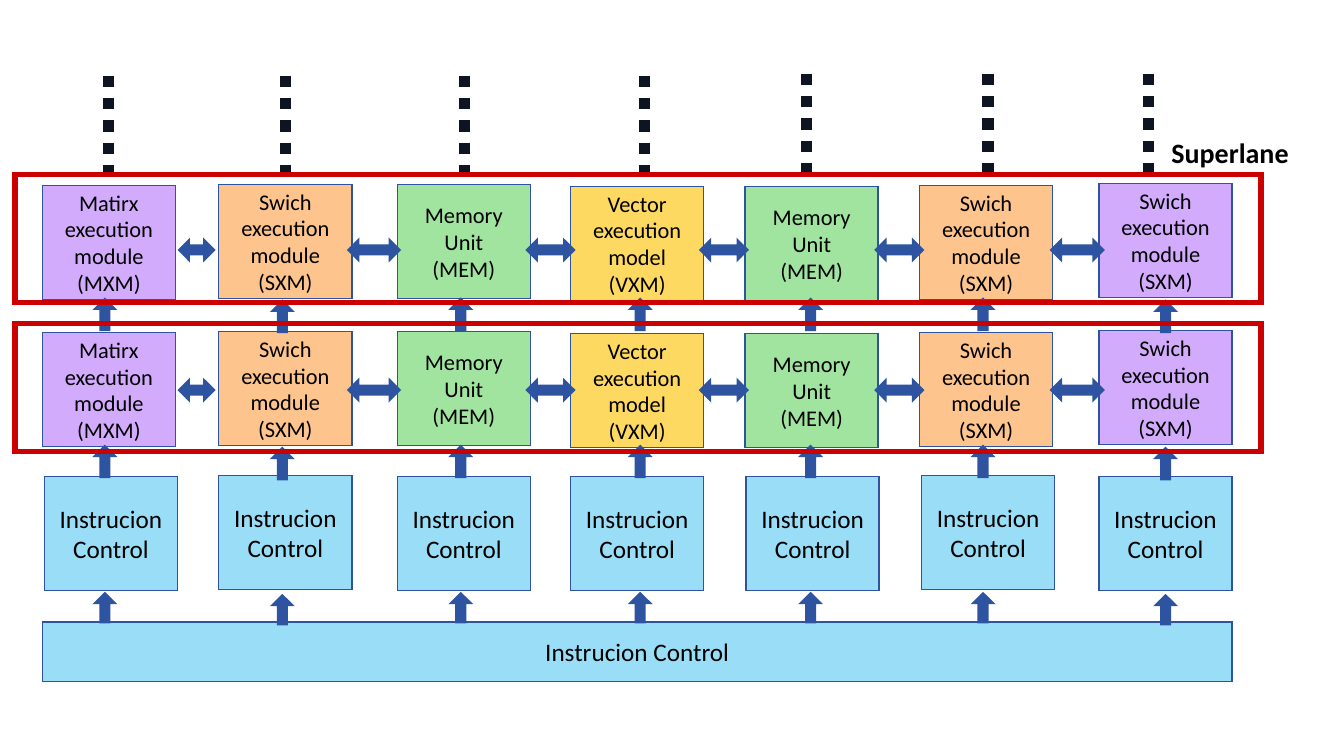
from collections import namedtuple
from dataclasses import dataclass
from lxml import etree
from pptx import Presentation
from pptx import util as u
from pptx.dml.color import RGBColor
from pptx.enum import dml, shapes, text
from pptx.oxml.ns import qn


@dataclass(frozen=True)
class Theme:
    font: str = "Calibri"
    ink: str = "000000"
    edge: str = "2E54A1"
    arrow: str = "4874CB"
    frame: str = "CC0000"
    dots: str = "0F1423"
    blue: str = "99DEF6"
    violet: str = "D2ABFD"
    orange: str = "FDC48D"
    green: str = "A0E49F"
    yellow: str = "FED961"
    unit: int = 16
    control: int = 18
    title: int = 20


T = Theme()
Box = namedtuple("Box", "x y w h")
Unit = namedtuple("Unit", "fill lines")
# One column of the grid: offsets from the left edge and small drops from the row top
Col = namedtuple("Col", "unit x drop ctl ctl_drop rise rise_drop dot dot_drop")

# The slide is a grid of 13.33 columns by 7.5 rows, one inch each
COLS, ROWS, CELL = 13.33, 7.5, u.Inches(1)
CARD_W, CARD_H, THIN = 1.32, 1.13, 0.08

MXM = Unit(T.violet, ["Matirx", "execution", "module", "(MXM)"])
SXM = Unit(T.orange, ["Swich execution module (SXM)"])
MEM = Unit(T.green, ["Memory Unit", "(MEM)"])
VXM = Unit(T.yellow, ["Vector", "execution model", "(VXM)"])
END = SXM._replace(fill=T.violet)

GRID = [
    Col(MXM, 0.42, 0.02, 0.44, 0.01, 1.00, 0, 1.08, 0.02),
    Col(SXM, 2.17, 0.01, 2.17, 0, 2.76, 0.02, 2.83, 0.02),
    Col(MEM, 3.94, 0.01, 3.94, 0.01, 4.53, 0, 4.61, 0.02),
    Col(VXM, 5.66, 0.03, 5.66, 0.01, 6.31, 0, 6.39, 0.02),
    Col(MEM, 7.39, 0.03, 7.40, 0.01, 8.00, 0, 8.00, 0),
    Col(SXM, 9.12, 0.02, 9.14, 0, 9.71, 0, 9.80, 0),
    Col(END, 10.9, 0, 10.9, 0.01, 11.52, 0.02, 11.39, 0),
]
# Left edge and width of the arrows between columns
LINKS = [(1.81, 0.28), (3.49, 0.44), (5.26, 0.4), (6.98, 0.4), (8.72, 0.4), (10.46, 0.45)]


def emu(*cells):
    return [round(c * CELL) for c in cells]


def rgb(code):
    return RGBColor.from_string(code)


def write(frame, lines, size, align, bold=False):
    frame.word_wrap = True
    for i, line in enumerate(lines):
        para = frame.paragraphs[0] if i == 0 else frame.add_paragraph()
        para.text, para.alignment = line, align
        font = para.font
        font.name, font.size, font.bold = T.font, u.Pt(size), bold
        font.color.rgb = rgb(T.ink)


def draw(slide, kind, box, fill, edge, width):
    shape = slide.shapes.add_shape(kind, *emu(*box))
    shape.shadow.inherit = False
    if fill:
        shape.fill.solid()
        shape.fill.fore_color.rgb = rgb(fill)
    else:
        shape.fill.background()
    shape.line.color.rgb = rgb(edge)
    shape.line.width = u.Pt(width)
    # Sharp corners
    line = shape._element.spPr.find(qn("a:ln"))
    etree.SubElement(line, qn("a:miter")).set("lim", "800000")
    return shape


def card(slide, box, fill, lines, size):
    shape = draw(slide, shapes.MSO_SHAPE.RECTANGLE, box, fill, T.edge, 1)
    shape.text_frame.vertical_anchor = text.MSO_ANCHOR.MIDDLE
    write(shape.text_frame, lines, size, text.PP_ALIGN.CENTER)


def arrow(slide, kind, box):
    draw(slide, kind, box, T.arrow, T.edge, 5)


def control(slide, box):
    card(slide, box, T.blue, ["Instrucion Control"], T.control)


def controls(slide, box):
    for col in GRID:
        control(slide, Box(box.x + col.ctl, box.y + col.ctl_drop, CARD_W, box.h))


def units(slide, box):
    for col in GRID:
        spot = Box(box.x + col.x, box.y + col.drop, CARD_W, box.h)
        card(slide, spot, col.unit.fill, col.unit.lines, T.unit)


def links(slide, box):
    for x, w in LINKS:
        arrow(slide, shapes.MSO_SHAPE.LEFT_RIGHT_ARROW, Box(box.x + x, box.y, w, box.h))


def rises(slide, box):
    for col in GRID:
        spot = Box(box.x + col.rise, box.y + col.rise_drop, THIN, box.h)
        arrow(slide, shapes.MSO_SHAPE.UP_ARROW, spot)


def dots(slide, box):
    for col in GRID:
        x, y = box.x + col.dot, box.y + col.dot_drop
        rule = slide.shapes.add_connector(
            shapes.MSO_CONNECTOR.STRAIGHT, *emu(x, y, x, y + box.h))
        rule.line.color.rgb = rgb(T.dots)
        rule.line.width = u.Pt(8)
        rule.line.dash_style = dml.MSO_LINE.ROUND_DOT
        etree.SubElement(rule._element.spPr, qn("a:effectLst"))


def frame(slide, box):
    draw(slide, shapes.MSO_SHAPE.RECTANGLE, box, None, T.frame, 4)


def label(slide, box):
    note = slide.shapes.add_textbox(*emu(*box))
    write(note.text_frame, ["Superlane"], T.title, text.PP_ALIGN.LEFT, True)


def main():
    deck = Presentation()
    deck.slide_width, deck.slide_height = emu(COLS, ROWS)
    slide = deck.slides.add_slide(deck.slide_layouts[6])

    # Instruction control
    control(slide, Box(0.42, 6.17, 11.8, 0.59))
    controls(slide, Box(0, 4.72, COLS, CARD_H))

    # Execution units and the lanes that continue above
    for y in (3.28, 1.82):
        units(slide, Box(0, y, COLS, CARD_H))
    dots(slide, Box(0, 0.73, COLS, 1))

    # Arrows
    for y, h in ((3, 0.25), (4.46, 0.25), (5.92, 0.23)):
        rises(slide, Box(0, y, COLS, h))
    for y in (2.44, 3.83):
        links(slide, Box(0, y, COLS, THIN))

    # Superlanes
    for y in (1.73, 3.21):
        frame(slide, Box(0.15, y, 12.36, 1.27))
    label(slide, Box(11.52, 1.3, 1.7, 0.44))

    deck.save("out.pptx")


if __name__ == "__main__":
    main()
